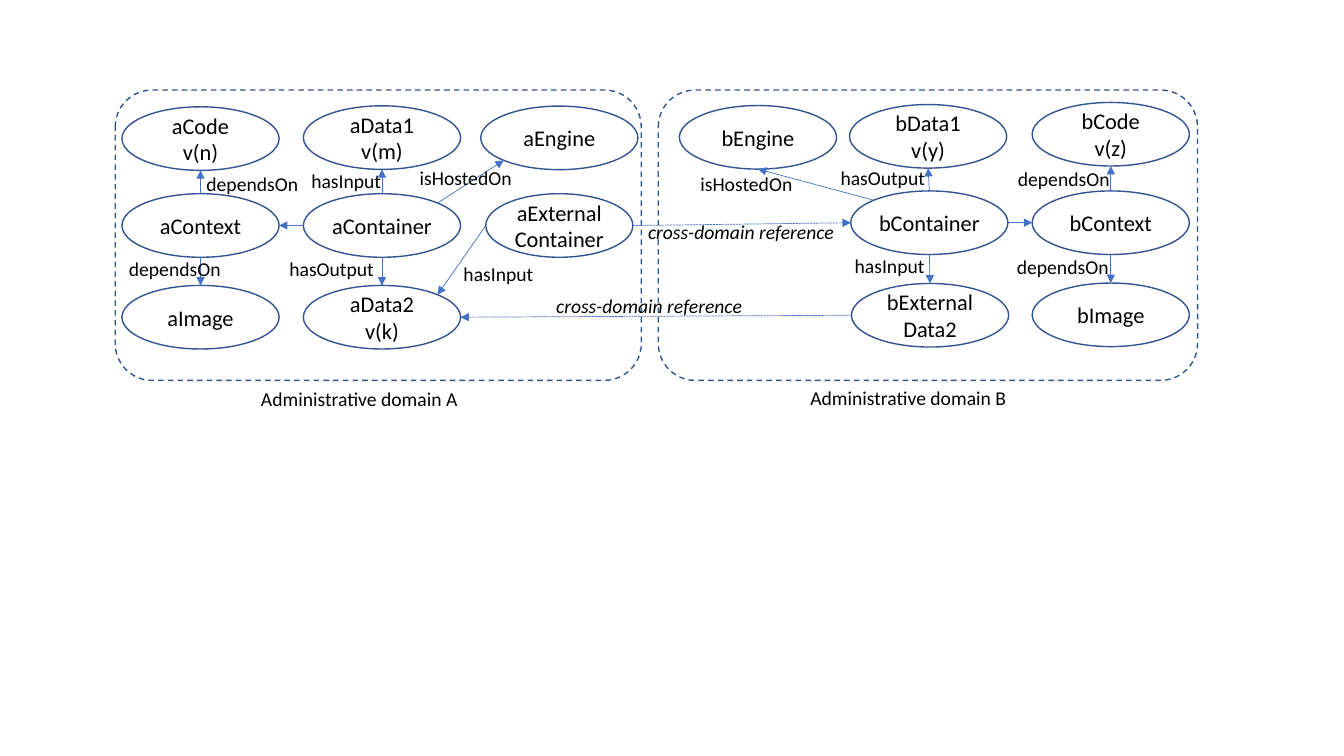
from math import cos, pi, sin
from typing import NamedTuple

from lxml import etree
from pptx import Presentation
from pptx.dml.color import RGBColor
from pptx.enum.dml import MSO_LINE
from pptx.enum.shapes import MSO_CONNECTOR, MSO_SHAPE
from pptx.enum.text import MSO_ANCHOR, MSO_AUTO_SIZE, PP_ALIGN
from pptx.oxml.ns import qn
from pptx.shapes.autoshape import Shape
from pptx.slide import Slide
from pptx.text.text import TextFrame
from pptx.util import Pt

OUTLINE = RGBColor(0x32, 0x54, 0x91)
ARROW = RGBColor(0x44, 0x72, 0xC4)
BLACK = RGBColor(0, 0, 0)
FONT = "Calibri"
NODE_WIDTH, NODE_HEIGHT = 112.3, 45.4
LABEL_HEIGHT = 24.5

# Connection sites of an ellipse, numbered counterclockwise from the top
TOP, TOP_LEFT, LEFT, BOTTOM_LEFT, BOTTOM, _, RIGHT, TOP_RIGHT = range(8)


class Domain(NamedTuple):
    left: float
    width: float


class Node(NamedTuple):
    text: str
    left: float
    top: float
    width: float = NODE_WIDTH


class Link(NamedTuple):
    source: str
    source_site: int
    target: str
    target_site: int
    dashed: bool = False


class Label(NamedTuple):
    text: str
    left: float
    top: float
    width: float
    italic: bool = False


# Column and row positions of the two domains
A1, A2, A3 = 87.1, 216.7, 343.4
A_MIDDLE, A_BOTTOM = 138.4, 203.9
B1, B2, B3 = 485.3, 607.7, 737.3
B_MIDDLE, B_BOTTOM = 136.4, 202.2

DOMAINS = [Domain(82.3, 375.8), Domain(470.2, 385.2)]

NODES = {
    "aCode": Node("aCode\nv(n)", A1, 76.3),
    "aData1": Node("aData1\nv(m)", A2, 75.6),
    "aEngine": Node("aEngine", A3, 75.8),
    "aContext": Node("aContext", A1, A_MIDDLE),
    "aContainer": Node("aContainer", A2, A_MIDDLE),
    "aExternal": Node("aExternal\nContainer", 347, A_MIDDLE, 105.1),
    "aImage": Node("aImage", A1, A_BOTTOM),
    "aData2": Node("aData2\nv(k)", A2, A_BOTTOM),
    "bEngine": Node("bEngine", B1, 75.4),
    "bData1": Node("bData1\nv(y)", 606.8, 74.7),
    "bCode": Node("bCode\nv(z)", B3, 73.2),
    "bContainer": Node("bContainer", B2, B_MIDDLE),
    "bContext": Node("bContext", B3, B_MIDDLE),
    "bExternal": Node("bExternal\nData2", 608.2, 202.5),
    "bImage": Node("bImage", B3, B_BOTTOM),
}

LINKS = [
    Link("aContext", BOTTOM, "aImage", TOP),
    Link("aContext", TOP, "aCode", BOTTOM),
    Link("aContainer", LEFT, "aContext", RIGHT),
    Link("aContainer", BOTTOM, "aData2", TOP),
    Link("aContainer", TOP, "aData1", BOTTOM),
    Link("aContainer", TOP_RIGHT, "aEngine", BOTTOM_LEFT),
    Link("aExternal", LEFT, "aData2", TOP_RIGHT),
    Link("bContainer", BOTTOM, "bExternal", TOP),
    Link("bContainer", TOP, "bData1", BOTTOM),
    Link("bContainer", TOP_LEFT, "bEngine", BOTTOM),
    Link("bContainer", RIGHT, "bContext", LEFT),
    Link("bContext", TOP, "bCode", BOTTOM),
    Link("bContext", BOTTOM, "bImage", TOP),
    Link("bExternal", LEFT, "aData2", RIGHT, dashed=True),
    Link("aExternal", RIGHT, "bContainer", LEFT, dashed=True),
]

LABELS = [
    Label("dependsOn", 140.4, 119, 83.5),
    Label("dependsOn", 85, 180.2, 83.5),
    Label("hasInput", 215.3, 117.4, 64.8),
    Label("hasOutput", 199.6, 180.2, 75.6),
    Label("isHostedOn", 292.7, 115.2, 81.4),
    Label("hasInput", 324, 183.6, 64.8),
    Label("isHostedOn", 493.2, 119.5, 83.5),
    Label("hasOutput", 593.3, 115.2, 75.6),
    Label("hasInput", 603.4, 177.8, 64.8),
    Label("dependsOn", 720, 115.9, 80.6),
    Label("dependsOn", 719.3, 178.6, 83.5),
    Label("cross-domain reference", 455.8, 153.4, 148.3, italic=True),
    Label("cross-domain reference", 390.2, 206.6, 148.3, italic=True),
    Label("Administrative domain A", 179.3, 272.9, 157),
    Label("Administrative domain B", 571.7, 272.2, 157),
]


def write_text(frame: TextFrame, text: str, size: float, align: PP_ALIGN,
               italic: bool = False) -> None:
    """Fill a text frame with one paragraph for each line of text."""
    frame.text = text
    for paragraph in frame.paragraphs:
        paragraph.alignment = align
        font = paragraph.runs[0].font
        font.name, font.size, font.italic = FONT, Pt(size), italic
        font.color.rgb = BLACK


def add_outline(slide: Slide, kind: MSO_SHAPE, left: float, top: float,
                width: float, height: float) -> Shape:
    """Add an unfilled shape with a thin dark blue outline."""
    shape = slide.shapes.add_shape(kind, Pt(left), Pt(top), Pt(width), Pt(height))
    shape.shadow.inherit = False
    shape.fill.background()
    shape.line.color.rgb = OUTLINE
    shape.line.width = Pt(1)
    return shape


def add_domain(slide: Slide, domain: Domain) -> None:
    """Add the dashed frame of an administrative domain."""
    frame = add_outline(slide, MSO_SHAPE.ROUNDED_RECTANGLE,
                        domain.left, 64.3, domain.width, 207.4)
    frame.adjustments[0] = 0.127
    frame.line.dash_style = MSO_LINE.DASH


def add_node(slide: Slide, node: Node) -> Shape:
    """Add an ellipse with centred text."""
    shape = add_outline(slide, MSO_SHAPE.OVAL, node.left, node.top,
                        node.width, NODE_HEIGHT)
    frame = shape.text_frame
    frame.margin_left = frame.margin_right = 0
    frame.vertical_anchor = MSO_ANCHOR.MIDDLE
    write_text(frame, node.text, 16, PP_ALIGN.CENTER)
    return shape


def site_point(node: Node, site: int) -> tuple[Pt, Pt]:
    """Return the place of a connection site on a node."""
    angle = site * pi / 4
    x = node.left + node.width / 2 * (1 - sin(angle))
    y = node.top + NODE_HEIGHT / 2 * (1 - cos(angle))
    return Pt(x), Pt(y)


def add_link(slide: Slide, link: Link, shapes: dict[str, Shape]) -> None:
    """Add an arrow attached to the nodes at both of its ends."""
    start = site_point(NODES[link.source], link.source_site)
    end = site_point(NODES[link.target], link.target_site)
    arrow = slide.shapes.add_connector(MSO_CONNECTOR.STRAIGHT, *start, *end)
    arrow.line.color.rgb = ARROW
    arrow.line.width = Pt(0.5)
    if link.dashed:
        arrow.line.dash_style = MSO_LINE.SQUARE_DOT
    etree.SubElement(arrow.line._get_or_add_ln(), qn("a:tailEnd"), type="triangle")
    etree.SubElement(arrow._element.spPr, qn("a:effectLst"))
    glue = arrow._element.find(".//" + qn("p:cNvCxnSpPr"))
    for tag, name, site in (("a:stCxn", link.source, link.source_site),
                            ("a:endCxn", link.target, link.target_site)):
        etree.SubElement(glue, qn(tag), id=str(shapes[name].shape_id), idx=str(site))


def add_label(slide: Slide, label: Label) -> None:
    """Add a single-line caption."""
    box = slide.shapes.add_textbox(Pt(label.left), Pt(label.top),
                                   Pt(label.width), Pt(LABEL_HEIGHT))
    frame = box.text_frame
    frame.word_wrap = False
    frame.auto_size = MSO_AUTO_SIZE.SHAPE_TO_FIT_TEXT
    write_text(frame, label.text, 14, PP_ALIGN.LEFT, label.italic)


def main() -> None:
    """Build the slide and save it."""
    deck = Presentation()
    deck.slide_width, deck.slide_height = Pt(960), Pt(540)
    slide = deck.slides.add_slide(deck.slide_layouts[6])
    for domain in DOMAINS:
        add_domain(slide, domain)
    shapes = {name: add_node(slide, node) for name, node in NODES.items()}
    for link in LINKS:
        add_link(slide, link, shapes)
    for label in LABELS:
        add_label(slide, label)
    deck.save("out.pptx")


main()
